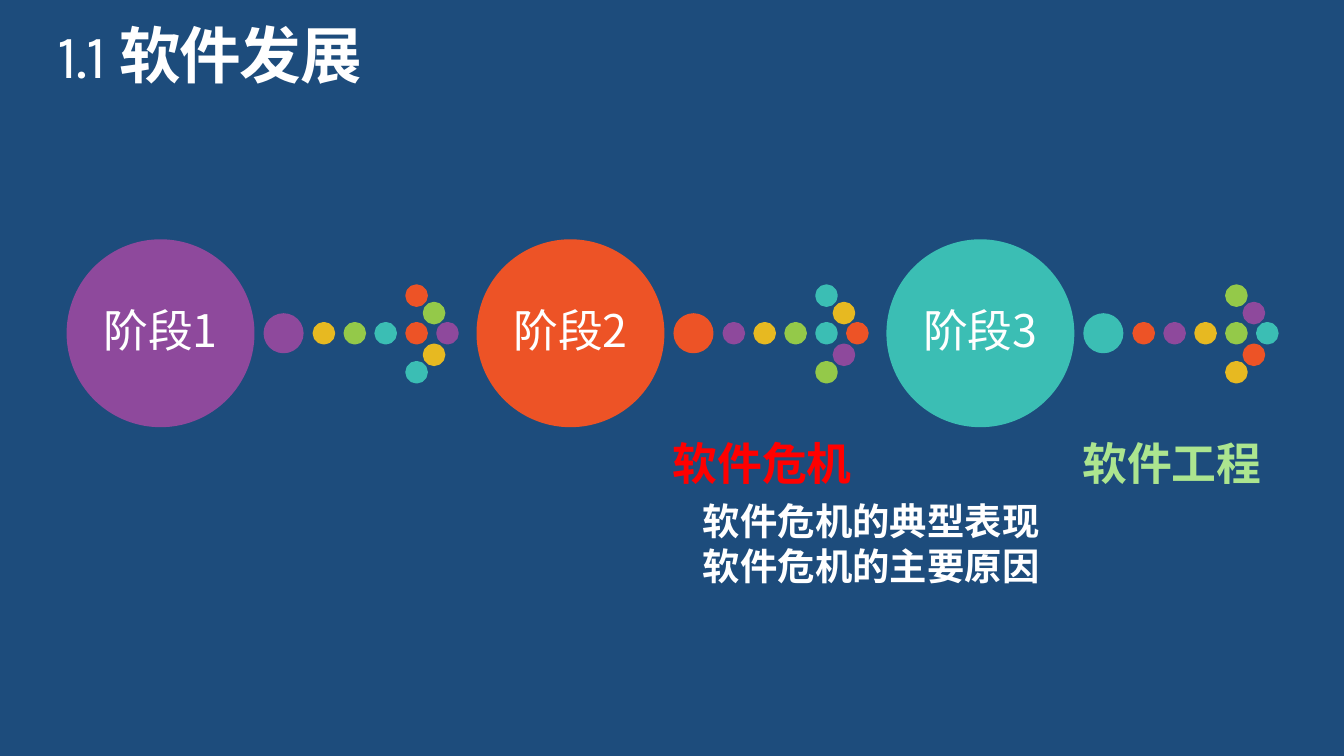
from dataclasses import dataclass

from lxml.etree import SubElement
from pptx import Presentation
from pptx.dml.color import RGBColor
from pptx.enum.shapes import MSO_SHAPE as Shape
from pptx.enum.text import MSO_ANCHOR as Anchor, MSO_AUTO_SIZE as AutoSize, PP_ALIGN as Align
from pptx.oxml.ns import qn
from pptx.util import Inches, Pt

COLORS = {
    "background": "1D4C7C",
    "purple": "8E499C",
    "orange": "ED5326",
    "teal": "3BBEB4",
    "green": "94C949",
    "yellow": "E7B921",
    "white": "FFFFFF",
    "red": "FF0000",
    "light_green": "ACE58F",
}
CYCLE = ["purple", "orange", "teal", "green", "yellow"]
CJK = "Noto Sans CJK SC"
STAGE_LEFT, STAGE_STEP, CENTER_Y = 0.51, 3.05, 2.48
STAGE_SIZE, LABEL_SIZE = 1.37, 0.97


@dataclass
class Dot:
    dx: float
    dy: float
    size: float
    shift: int


@dataclass
class Label:
    left: float
    top: float
    width: float
    height: float
    lines: list[str]
    size: int
    color: str
    align: Align


ARROW = [Dot(2.82 - 0.23 * i, 0, 0.14, i) for i in range(5)] + [
    Dot(1.6, 0, 0.27, 0),
    Dot(2.59, -0.28, 0.14, 1),
    Dot(2.59, 0.29, 0.14, 2),
    Dot(2.72, -0.15, 0.14, 3),
    Dot(2.72, 0.16, 0.14, 4),
]
LABELS = [
    Label(4.92, 3.2, 1.5, 0.48, ["软件危机"], 24, "red", Align.CENTER),
    Label(5.16, 3.67, 2.69, 0.75, ["软件危机的典型表现", "软件危机的主要原因"], 20, "white", Align.LEFT),
    Label(7.97, 3.2, 1.5, 0.48, ["软件工程"], 24, "light_green", Align.CENTER),
]


def rgb(name: str) -> RGBColor:
    return RGBColor.from_string(COLORS[name])


def style_run(r, size: float, color: str, font: str = CJK, bold: bool = False) -> None:
    r.font.size = Pt(size)
    r.font.bold = bold
    r.font.color.rgb = rgb(color)
    r.font.name = font
    SubElement(r.font._element, qn("a:ea"), typeface=font)


def add_text_frame(s, left: float, top: float, width: float, height: float, inset_x: float, inset_y: float):
    tf = s.shapes.add_textbox(Inches(left), Inches(top), Inches(width), Inches(height)).text_frame
    tf.margin_left = tf.margin_right = Inches(inset_x)
    tf.margin_top = tf.margin_bottom = Inches(inset_y)
    return tf


def add_circle(s, cx: float, cy: float, size: float, color: str) -> None:
    sp = s.shapes.add_shape(
        Shape.OVAL, Inches(cx - size / 2), Inches(cy - size / 2), Inches(size), Inches(size)
    )
    sp.shadow.inherit = False
    sp.fill.solid()
    sp.fill.fore_color.rgb = rgb(color)
    sp.line.color.rgb = rgb(color)
    sp.line.width = Pt(2)


def add_title(s) -> None:
    tf = add_text_frame(s, 0.43, 0.19, 9.15, 0.5, 0, 0)
    tf.word_wrap = True
    tf.auto_size = AutoSize.SHAPE_TO_FIT_TEXT
    p = tf.paragraphs[0]
    p.line_spacing = 0.9
    for text, font, bold in [("1.1 ", "Karla", False), ("软件发展", CJK, True)]:
        r = p.add_run()
        r.text = text
        style_run(r, 33, "white", font, bold)
        r.font._element.set("spc", "-80")


def add_stage(s, index: int) -> None:
    left = STAGE_LEFT + index * STAGE_STEP
    for dot in ARROW:
        color = CYCLE[(index + dot.shift) % len(CYCLE)]
        add_circle(s, left + dot.dx, CENTER_Y + dot.dy, dot.size, color)
    cx = left + STAGE_SIZE / 2
    add_circle(s, cx, CENTER_Y, STAGE_SIZE, CYCLE[index])
    half = LABEL_SIZE / 2
    tf = add_text_frame(s, cx - half, CENTER_Y - half, LABEL_SIZE, LABEL_SIZE, 0.03, 0.03)
    tf.word_wrap = True
    tf.vertical_anchor = Anchor.MIDDLE
    tf.text = f"阶段{index + 1}"
    p = tf.paragraphs[0]
    p.alignment = Align.CENTER
    p.line_spacing = 0.9
    style_run(p.runs[0], 24, "white")


def add_label(s, label: Label) -> None:
    tf = add_text_frame(s, label.left, label.top, label.width, label.height, 0.07, 0.04)
    tf.word_wrap = False
    tf.auto_size = AutoSize.SHAPE_TO_FIT_TEXT
    tf.text = "\n".join(label.lines)
    for p in tf.paragraphs:
        p.alignment = label.align
        style_run(p.runs[0], label.size, label.color, bold=True)


def main() -> None:
    prs = Presentation()
    prs.slide_width = Inches(10)
    prs.slide_height = prs.slide_width * 9 // 16
    s = prs.slides.add_slide(prs.slide_layouts[6])
    s.background.fill.solid()
    s.background.fill.fore_color.rgb = rgb("background")
    add_title(s)
    for index in range(3):
        add_stage(s, index)
    for label in LABELS:
        add_label(s, label)
    prs.save("out.pptx")


if __name__ == "__main__":
    main()
